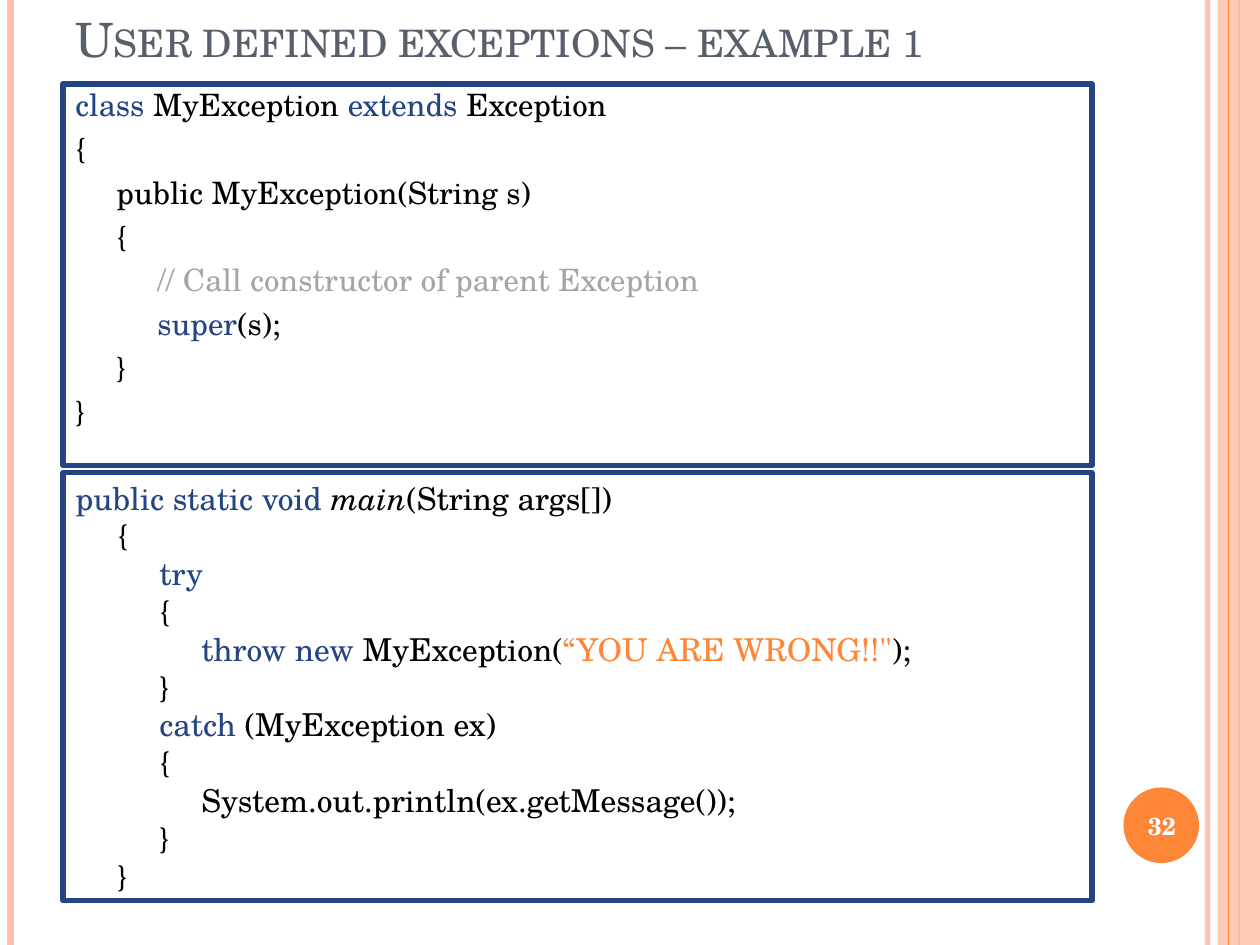
from lxml import etree
from pptx import Presentation
from pptx import util as u
from pptx.dml.color import RGBColor
from pptx.enum import shapes, text
from pptx.oxml.ns import qn

COLORS = {
    "keyword": "244582", "plain": "000000", "comment": "A5A5A5",
    "accent": "FE8637", "peach": "FEC2AC", "title": "575F6D", "white": "FFFFFF",
}
FONT = "TeX Gyre Schola"
Pt = u.Pt


class SlideBuilder:
    def __init__(self, s):
        self.s = s

    def color(self, target, name, alpha=100):
        target.rgb = RGBColor.from_string(COLORS[name])
        if alpha < 100:
            node = target._xFill.find(qn("a:srgbClr"))
            etree.SubElement(node, qn("a:alpha"), val=str(alpha * 1000))

    def vline(self, x, width, name, alpha=100):
        """Draw a line over the full slide height."""
        c = self.s.shapes.add_connector(
            shapes.MSO_CONNECTOR.STRAIGHT, Pt(x), 0, Pt(x), Pt(540))
        c.line.width = Pt(width)
        c.line.fill.solid()
        self.color(c.line.fill.fore_color, name, alpha)
        etree.SubElement(c._element.spPr, qn("a:effectLst"))

    def shape(self, kind, box, fill=None, alpha=100, line=None):
        sp = self.s.shapes.add_shape(kind, *map(Pt, box))
        sp.shadow.inherit = False
        if fill:
            sp.fill.solid()
            self.color(sp.fill.fore_color, fill, alpha)
        else:
            sp.fill.background()
        if line:
            sp.line.width = Pt(3)
            self.color(sp.line.color, line)
        else:
            sp.line.fill.background()
        return sp

    def label(self, box, words, size, name, anchor, align, bold=False, small_caps=False):
        tf = self.s.shapes.add_textbox(*map(Pt, box)).text_frame
        tf.word_wrap = True
        tf.vertical_anchor = anchor
        p = tf.paragraphs[0]
        p.alignment = align
        p.font.name, p.font.size, p.font.bold = FONT, Pt(size), bold
        self.color(p.font.color, name)
        r = p.add_run()
        r.text = words
        if small_caps:
            r._r.get_or_add_rPr().set("cap", "small")

    def code(self, box, lines, size, indent, spacing=1.0, before=0):
        """Draw a framed listing; each line is an indent level and (text, style) runs."""
        tf = self.shape(shapes.MSO_SHAPE.RECTANGLE, box, line="keyword").text_frame
        tf.word_wrap = True
        tf.vertical_anchor = text.MSO_ANCHOR.TOP
        for i, (level, *runs) in enumerate(lines):
            p = tf.add_paragraph() if i else tf.paragraphs[0]
            p.alignment = text.PP_ALIGN.LEFT
            p.line_spacing = spacing
            p.space_before = Pt(before if i else 0)
            p._p.get_or_add_pPr().set("marL", str(Pt(level * indent)))
            p.font.name, p.font.size = FONT, Pt(size)
            for words, style in runs:
                r = p.add_run()
                r.text = words
                if style == "method":
                    r.font.italic = True
                    style = "plain"
                self.color(r.font.color, style)


EXCEPTION_CLASS = [
    (0, ("class", "keyword"), (" MyException ", "plain"),
     ("extends", "keyword"), (" Exception", "plain")),
    (0, ("{", "plain")),
    (1, ("public MyException(String s)", "plain")),
    (1, ("{", "plain")),
    (2, ("// Call constructor of parent Exception", "comment")),
    (2, ("super", "keyword"), ("(s);", "plain")),
    (1, ("}", "plain")),
    (0, ("}", "plain")),
]
MAIN_METHOD = [
    (0, ("public static void ", "keyword"), ("main", "method"),
     ("(String args[])", "plain")),
    (1, ("{", "plain")),
    (2, ("try", "keyword")),
    (2, ("{", "plain")),
    (3, ("throw new ", "keyword"), ("MyException(", "plain"),
     ("“YOU ARE WRONG!!\"", "accent"), (");", "plain")),
    (2, ("}", "plain")),
    (2, ("catch", "keyword"), (" (MyException ex)", "plain")),
    (2, ("{", "plain")),
    (3, ("System.out.println(ex.getMessage());", "plain")),
    (2, ("}", "plain")),
    (1, ("}", "plain")),
]


def main():
    prs = Presentation()
    prs.slide_width, prs.slide_height = Pt(720), Pt(540)
    b = SlideBuilder(prs.slides.add_slide(prs.slide_layouts[6]))

    b.vline(690, 3, "peach", 93)
    b.vline(6, 4.5, "peach")
    b.vline(708, 1.5, "accent")
    b.shape(shapes.MSO_SHAPE.RECTANGLE, (696, 0, 24, 540), "peach", 87)
    b.vline(702, 0.75, "accent")
    b.shape(shapes.MSO_SHAPE.OVAL, (642, 450, 43.2, 43.2), "accent")

    b.label((36, 2, 588, 39.6), "User defined exceptions – example 1", 27, "title",
            text.MSO_ANCHOR.BOTTOM, text.PP_ALIGN.LEFT, small_caps=True)
    b.code((36, 48, 588, 218), EXCEPTION_CLASS, 17.6, 23.4, spacing=0.9, before=6)
    b.label((640, 451.5, 48, 41), "32", 14, "white",
            text.MSO_ANCHOR.MIDDLE, text.PP_ALIGN.CENTER, bold=True)
    b.code((36, 270, 588, 244.8), MAIN_METHOD, 18, 24)
    prs.save("out.pptx")


if __name__ == "__main__":
    main()
